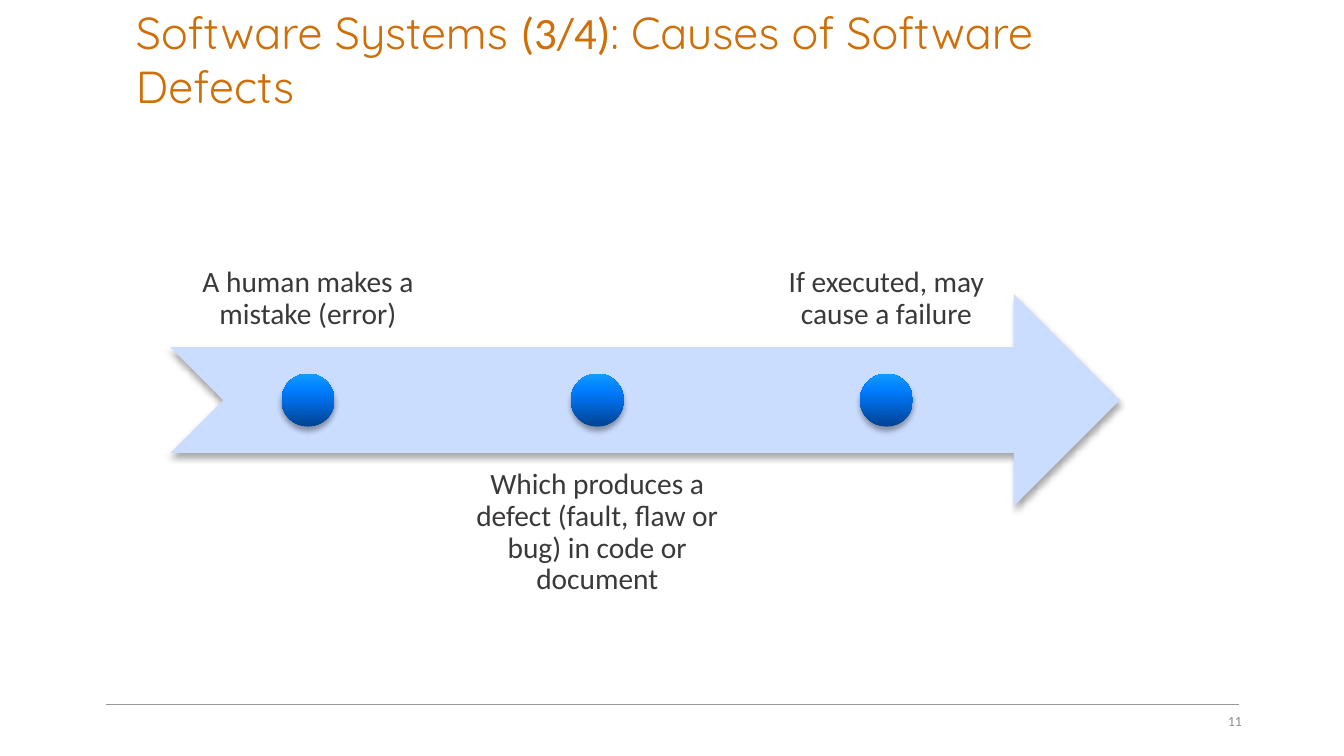
from lxml import etree
from pptx import Presentation
from pptx.dml.color import RGBColor
from pptx.enum import shapes, text
from pptx.oxml import ns
from pptx.util import Pt

ORANGE = RGBColor(0xCF, 0x6F, 0x07)
DARK = RGBColor(0x3B, 0x38, 0x38)
GREY = RGBColor(0x8F, 0x8E, 0x8E)
RULE_GREY = RGBColor(0x9B, 0x97, 0x97)
PALE_BLUE = RGBColor(0xCB, 0xDD, 0xFF)
SHADOW = RGBColor(0, 0, 0)
DOT_STOPS = [
    (0, RGBColor(0x00, 0x42, 0x90)),
    (50, RGBColor(0x00, 0x6D, 0xE6)),
    (70, RGBColor(0x00, 0x7F, 0xFF)),
    (100, RGBColor(0x11, 0x9D, 0xFF)),
]

# Timeline geometry in points
ARROW_LEFT, ARROW_TOP, ARROW_WIDTH, BAND = 121.7, 210.2, 678.2, 151.2
LABEL_WIDTH, STEP_PITCH, DOT = 196.6, 206.6, 37.8
STEPS = [
    "A human makes a mistake (error)",
    "Which produces a defect (fault, flaw or bug) in code or document",
    "If executed, may cause a failure",
]


def add_xml(parent, tag, **attributes):
    child = etree.SubElement(parent, ns.qn(tag))
    for key, value in attributes.items():
        child.set(key, str(value))
    return child


def add_color(parent, color):
    return add_xml(parent, "a:srgbClr", val=color)


def add_text(slide, box, runs, size, color, inset=(7.2, 3.6),
             anchor=text.MSO_ANCHOR.TOP, align=text.PP_ALIGN.LEFT, spacing=None):
    """Add a wrapped text box; runs is a list of (wording, font name)."""
    frame = slide.shapes.add_textbox(*map(Pt, box)).text_frame
    frame.word_wrap = True
    frame.vertical_anchor = anchor
    frame.margin_left = frame.margin_right = Pt(inset[0])
    frame.margin_top = frame.margin_bottom = Pt(inset[1])
    paragraph = frame.paragraphs[0]
    paragraph.alignment = align
    paragraph.line_spacing = spacing
    for wording, font_name in runs:
        run = paragraph.add_run()
        run.text = wording
        run.font.name = font_name
        run.font.size = Pt(size)
        run.font.color.rgb = color


def add_shadowed(slide, kind, box):
    """Add a borderless shape with a soft shadow below it."""
    shape = slide.shapes.add_shape(kind, *map(Pt, box))
    shape.line.fill.background()
    shape.shadow.inherit = False
    effects = shape.element.spPr.find(ns.qn("a:effectLst"))
    shadow = add_xml(effects, "a:outerShdw", blurRad=Pt(4), dist=Pt(3),
                     dir=90 * 60000, rotWithShape=0)
    add_xml(add_color(shadow, SHADOW), "a:alpha", val=35000)
    return shape


def add_arrow(slide):
    arrow = add_shadowed(slide, shapes.MSO_SHAPE.NOTCHED_RIGHT_ARROW,
                         (ARROW_LEFT, ARROW_TOP, ARROW_WIDTH, BAND))
    arrow.fill.solid()
    arrow.fill.fore_color.rgb = PALE_BLUE


def add_dot(slide, center):
    dot = add_shadowed(slide, shapes.MSO_SHAPE.OVAL,
                       (center - DOT / 2, ARROW_TOP + (BAND - DOT) / 2, DOT, DOT))
    dot.fill.gradient()
    dot.fill.gradient_angle = 90
    stops = dot.element.spPr.find(".//" + ns.qn("a:gsLst"))
    stops.clear()
    for percent, color in DOT_STOPS:
        add_color(add_xml(stops, "a:gs", pos=percent * 1000), color)


def add_step(slide, index, wording):
    """Labels alternate above and below the arrow."""
    left = ARROW_LEFT + index * STEP_PITCH
    above = index % 2 == 0
    top = ARROW_TOP + (-0.75 if above else 0.75) * BAND
    anchor = text.MSO_ANCHOR.BOTTOM if above else text.MSO_ANCHOR.TOP
    add_text(slide, (left, top, LABEL_WIDTH, BAND), [(wording, "Calibri")], 21, DARK,
             inset=(11.5, 11.5), anchor=anchor, align=text.PP_ALIGN.CENTER, spacing=0.9)
    add_dot(slide, left + LABEL_WIDTH / 2)


def add_footer_rule(slide):
    rule = slide.shapes.add_connector(shapes.MSO_CONNECTOR.STRAIGHT,
                                      *map(Pt, (75.6, 503.3, 884.9, 503.3)))
    rule.line.color.rgb = RULE_GREY
    rule.line.width = Pt(1)
    add_xml(rule.element.spPr, "a:effectLst")


def main():
    deck = Presentation()
    deck.slide_width, deck.slide_height = Pt(960), Pt(540)
    slide = deck.slides.add_slide(deck.slide_layouts[6])

    # Footer line
    add_footer_rule(slide)

    # Timeline
    add_arrow(slide)
    for index, wording in enumerate(STEPS):
        add_step(slide, index, wording)

    # Slide number
    add_text(slide, (678.2, 500.4, 216, 28.8), [("11", "Calibri")], 10, GREY,
             anchor=text.MSO_ANCHOR.MIDDLE, align=text.PP_ALIGN.RIGHT)

    # Title
    add_text(slide, (90, 0, 751.7, 85),
             [("Software Systems ", "Quicksand"), ("(3/4)", "Calibri"),
              (": Causes of Software Defects", "Quicksand")], 32, ORANGE)

    deck.save("out.pptx")


if __name__ == "__main__":
    main()
